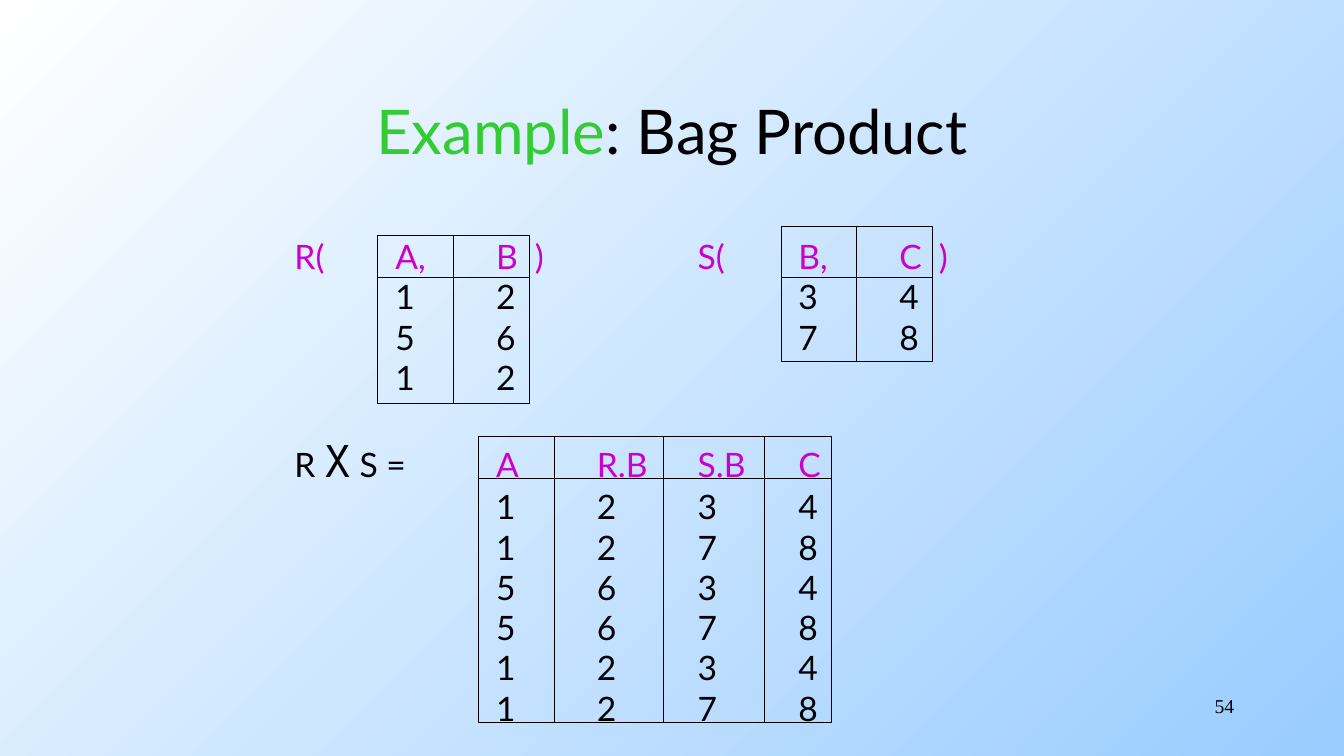
from itertools import product, zip_longest

from lxml.etree import SubElement
from pptx import Presentation
from pptx.dml.color import RGBColor
from pptx.enum.shapes import MSO_CONNECTOR, MSO_SHAPE
from pptx.enum.text import MSO_ANCHOR, MSO_AUTO_SIZE, PP_ALIGN
from pptx.oxml.ns import qn
from pptx.util import Inches, Pt

HUES = {"ink": "000000", "name": "CC00CC", "key": "33CC33",
        "pale": "FFFFFF", "sky": "99CCFF"}
BODY = {"name": "Lato", "size": Pt(24)}
HEAD = {"name": "Lato", "size": Pt(44)}
TIMES = {"name": "Noto Sans Mono", "size": Pt(32)}
PAGE = {"name": "Times New Roman", "size": Pt(14)}
BAG_R = [(1, 2), (5, 6), (1, 2)]
BAG_S = [(3, 4), (7, 8)]


def px(*vals):
    return [val * 9525 for val in vals]


def color(hue):
    return RGBColor.from_string(HUES[hue])


def put(item, vals):
    for key, val in vals.items():
        setattr(item, key, val)


def write(para, text, hue="ink", form=BODY):
    run = para.add_run()
    run.text = text
    put(run.font, form)
    run.font.color.rgb = color(hue)


def tabs(para, count=6):
    stops = SubElement(para._p.get_or_add_pPr(), qn("a:tabLst"))
    for step in range(1, count + 1):
        SubElement(stops, qn("a:tab"), pos=str(Inches(step)), algn="l")


def cells(row):
    return "\t".join(str(val) for val in row)


def block(slide, box, first, rows):
    """Tabbed text: a first line of runs, then lines of values."""
    frame = slide.shapes.add_textbox(*px(*box)).text_frame
    put(frame, {"word_wrap": False,
                "auto_size": MSO_AUTO_SIZE.SHAPE_TO_FIT_TEXT})
    lines = [first] + [[(row,)] for row in rows]
    for num, runs in enumerate(lines):
        para = frame.add_paragraph() if num else frame.paragraphs[0]
        tabs(para)
        for run in runs:
            write(para, *run)


def rule(slide, *ends):
    line = slide.shapes.add_connector(MSO_CONNECTOR.STRAIGHT, *px(*ends))
    line.line.color.rgb = color("ink")
    line.line.width = Pt(0.75)
    SubElement(line._element.spPr, qn("a:effectLst"))


def grid(slide, box, head, cols):
    """Frame with a line under its head row and lines between columns."""
    left, top, wide, high = box
    frame = slide.shapes.add_shape(MSO_SHAPE.RECTANGLE, *px(*box))
    frame.shadow.inherit = False
    frame.fill.background()
    frame.line.color.rgb = color("ink")
    frame.line.width = Pt(0.75)
    rule(slide, left, top + head, left + wide, top + head)
    for col in cols:
        rule(slide, left + col, top, left + col, top + high)


def title(slide, box):
    shape = slide.shapes.title
    put(shape, dict(zip(("left", "top", "width", "height"), px(*box))))
    frame = shape.text_frame
    put(frame, {"vertical_anchor": MSO_ANCHOR.MIDDLE, "word_wrap": True,
                "auto_size": MSO_AUTO_SIZE.NONE})
    para = frame.paragraphs[0]
    para.alignment = PP_ALIGN.CENTER
    write(para, "Example", "key", HEAD)
    write(para, ": Bag Product", "ink", HEAD)


def inputs(slide, box):
    """Relations R and S, side by side."""
    left, top = box[:2]
    rows = ["\t" + cells(r) + ("\t\t\t" + cells(s) if s else "")
            for r, s in zip_longest(BAG_R, BAG_S)]
    block(slide, box, [("R(\tA,\tB  )\t\tS(\tB,\tC  )", "name")], rows)
    grid(slide, (left + 89, top + 4, 144, 160), 40, [72])
    grid(slide, (left + 473, top - 4, 144, 128), 48, [72])


def result(slide, box):
    """Product of R and S."""
    left, top = box[:2]
    rows = ["\t\t" + cells(r + s) for r, s in product(BAG_R, BAG_S)]
    first = [("R ",), ("Χ", "ink", TIMES), (" S =\t",),
             ("A\tR.B\tS.B\tC", "name")]
    block(slide, box, first, rows)
    grid(slide, (left + 185, top + 9, 336, 272), 40, [72, 176, 272])


def number(slide, box):
    frame = slide.shapes.add_textbox(*px(*box)).text_frame
    frame.word_wrap = True
    para = frame.paragraphs[0]
    para.alignment = PP_ALIGN.RIGHT
    write(para, "54", "ink", PAGE)


def back(slide):
    fill = slide.background.fill
    fill.gradient()
    fill.gradient_angle = 315
    for stop, hue in zip(fill.gradient_stops, ("pale", "sky")):
        stop.color.rgb = color(hue)


def main():
    deck = Presentation()
    deck.slide_width, deck.slide_height = px(1280, 720)
    slide = deck.slides.add_slide(deck.slide_layouts[5])
    back(slide)
    number(slide, (918, 656, 267, 48))
    title(slide, (96, 64, 1088, 120))
    inputs(slide, (271, 220, 653, 165))
    result(slide, (271, 407, 523, 294))
    deck.save("out.pptx")


if __name__ == "__main__":
    main()
